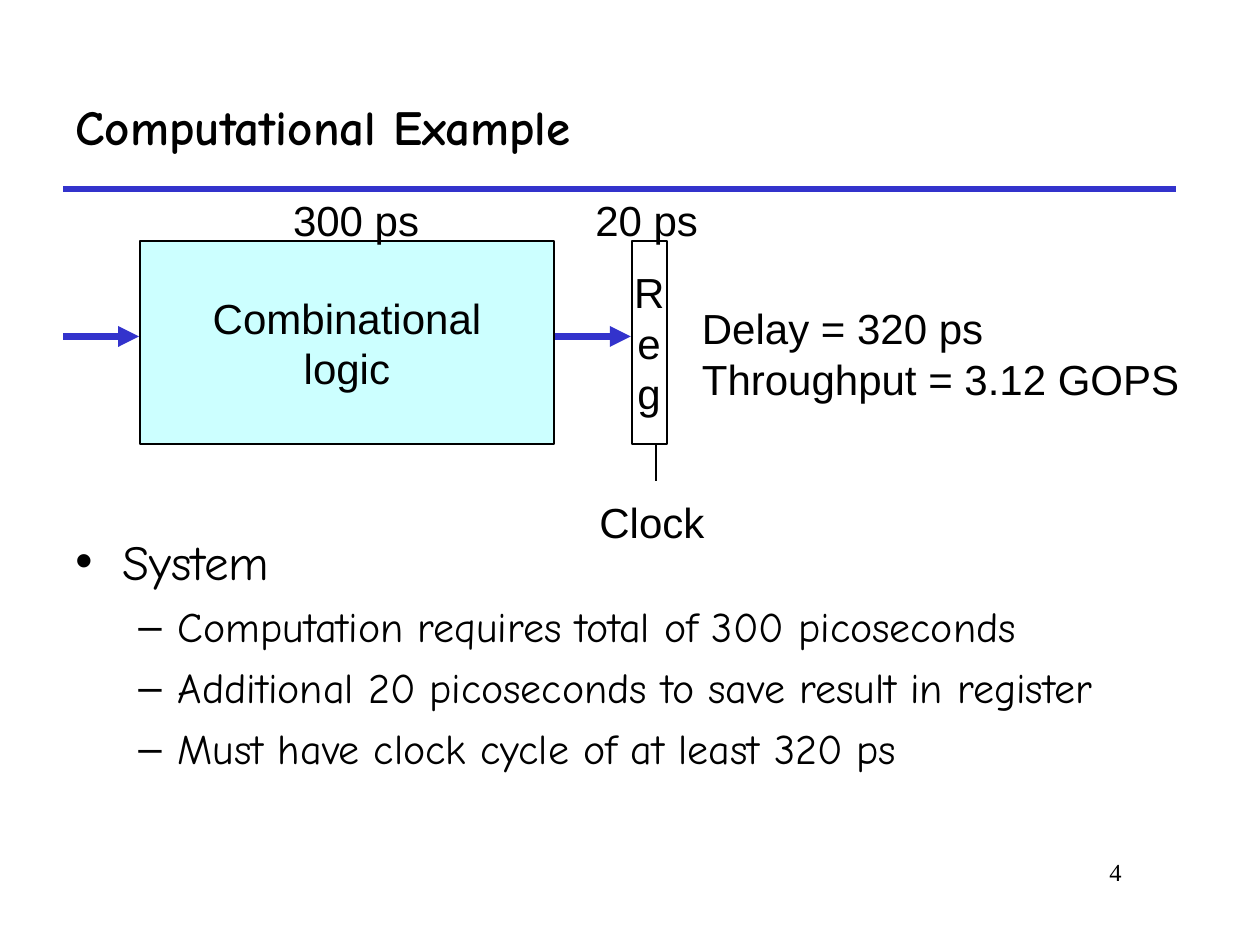
from dataclasses import dataclass
from lxml import etree
from pptx import Presentation
from pptx.dml.color import RGBColor
from pptx.enum.shapes import MSO_CONNECTOR, MSO_SHAPE
from pptx.enum.text import MSO_ANCHOR, MSO_AUTO_SIZE, PP_ALIGN
from pptx.oxml.ns import qn
from pptx.util import Pt


@dataclass(frozen=True)
class Theme:
    ink: RGBColor = RGBColor(0, 0, 0)
    accent: RGBColor = RGBColor(0x33, 0x33, 0xCC)
    logic: RGBColor = RGBColor(0xCC, 0xFF, 0xFF)
    register: RGBColor = RGBColor(0xFF, 0xFF, 0xFF)
    heading_font: str = "Comic Neue"
    diagram_font: str = "Arial"
    number_font: str = "Times New Roman"
    heading: int = 28
    text: int = 24
    number: int = 14
    leading: float = 1.2


theme = Theme()


def write(frame, lines, font, size, align, anchor=MSO_ANCHOR.TOP, wrap=False):
    frame.word_wrap = wrap
    frame.vertical_anchor = anchor
    frame.margin_left = frame.margin_right = Pt(7.2)
    frame.margin_top = frame.margin_bottom = Pt(3.6)
    for index, line in enumerate(lines):
        para = frame.add_paragraph() if index else frame.paragraphs[0]
        para.alignment = align
        para.line_spacing = Pt(size * theme.leading)
        span = para.add_run()
        span.text = line
        span.font.name = font
        span.font.size = Pt(size)
        span.font.color.rgb = theme.ink


def draw_line(start, end, color, width, arrow=False):
    line = page.shapes.add_connector(
        MSO_CONNECTOR.STRAIGHT, *[Pt(value) for value in (*start, *end)])
    line.line.color.rgb = color
    line.line.width = Pt(width)
    if arrow:
        outline = line.line._get_or_add_ln()
        etree.SubElement(outline, qn("a:tailEnd"), type="triangle")
    etree.SubElement(line._element.spPr, qn("a:effectLst"))


deck = Presentation()
deck.slide_width, deck.slide_height = Pt(720), Pt(540)
page = deck.slides.add_slide(deck.slide_layouts[5])

# Title and rule
title = page.shapes.title
title.left, title.top, title.width, title.height = Pt(36), Pt(36), Pt(636), Pt(72)
write(title.text_frame, ["Computational Example"], theme.heading_font,
      theme.heading, PP_ALIGN.LEFT, MSO_ANCHOR.MIDDLE, wrap=True)
title.text_frame.paragraphs[0].runs[0].font.bold = True
draw_line((36, 108), (672, 108), theme.accent, 3)

# Slide number
number = page.shapes.add_textbox(Pt(546), Pt(486), Pt(102), Pt(36))
write(number.text_frame, ["4"], theme.number_font, theme.number,
      PP_ALIGN.RIGHT, wrap=True)

# Bullets: text, size, left margin, hanging indent, space before, mark
bullets = [("System", theme.heading, 27, 27, 7, "•")] + [
    (line, theme.text, 58.5, 22.5, 6, "–") for line in (
        "Computation requires total of 300 picoseconds",
        "Additional 20 picoseconds to save result in register",
        "Must have clock cycle of at least 320 ps")]
body = page.shapes.add_textbox(Pt(36), Pt(300), Pt(654), Pt(190))
write(body.text_frame, [bullet[0] for bullet in bullets], theme.heading_font,
      theme.text, PP_ALIGN.LEFT, wrap=True)
for para, (_, size, margin, hang, before, mark) in zip(
        body.text_frame.paragraphs, bullets):
    para.level = 0 if size == theme.heading else 1
    para.space_before = Pt(before)
    para.line_spacing = Pt(size * theme.leading)
    para.runs[0].font.size = Pt(size)
    properties = para._p.get_or_add_pPr()
    properties.set("marL", str(Pt(margin)))
    properties.set("indent", str(-Pt(hang)))
    color = etree.SubElement(properties, qn("a:buClr"))
    etree.SubElement(color, qn("a:srgbClr"), val=str(theme.ink))
    etree.SubElement(properties, qn("a:buFont"), typeface=theme.diagram_font)
    etree.SubElement(properties, qn("a:buChar"), char=mark)

# Logic block and register
for left, width, fill, lines in (
        (80, 236.5, theme.logic, ["Combinational", "logic"]),
        (361, 20, theme.register, ["R", "e", "g"])):
    box = page.shapes.add_shape(
        MSO_SHAPE.RECTANGLE, Pt(left), Pt(137.75), Pt(width), Pt(116))
    box.shadow.inherit = False
    box.fill.solid()
    box.fill.fore_color.rgb = fill
    box.line.color.rgb = theme.ink
    box.line.width = Pt(1)
    write(box.text_frame, lines, theme.diagram_font, theme.text,
          PP_ALIGN.CENTER, MSO_ANCHOR.MIDDLE)

# Data arrows and clock line
for left in (36, 317):
    draw_line((left, 192.25), (left + 43.5, 192.25), theme.accent, 4, arrow=True)
draw_line((375, 254), (375, 275), theme.ink, 1)

# Diagram labels, with room to spare so that none wraps
for left, top, width, height, lines, align in (
        (153.5, 107.5, 100, 36, ["300 ps"], PP_ALIGN.CENTER),
        (324.5, 107.5, 90, 36, ["20 ps"], PP_ALIGN.CENTER),
        (327.5, 280, 90, 36, ["Clock"], PP_ALIGN.CENTER),
        (394, 169.5, 300, 65, ["Delay = 320 ps", "Throughput = 3.12 GOPS"],
         PP_ALIGN.LEFT)):
    label = page.shapes.add_textbox(Pt(left), Pt(top), Pt(width), Pt(height))
    write(label.text_frame, lines, theme.diagram_font, theme.text, align,
          wrap=True)
    label.text_frame.auto_size = MSO_AUTO_SIZE.NONE

deck.save("out.pptx")
